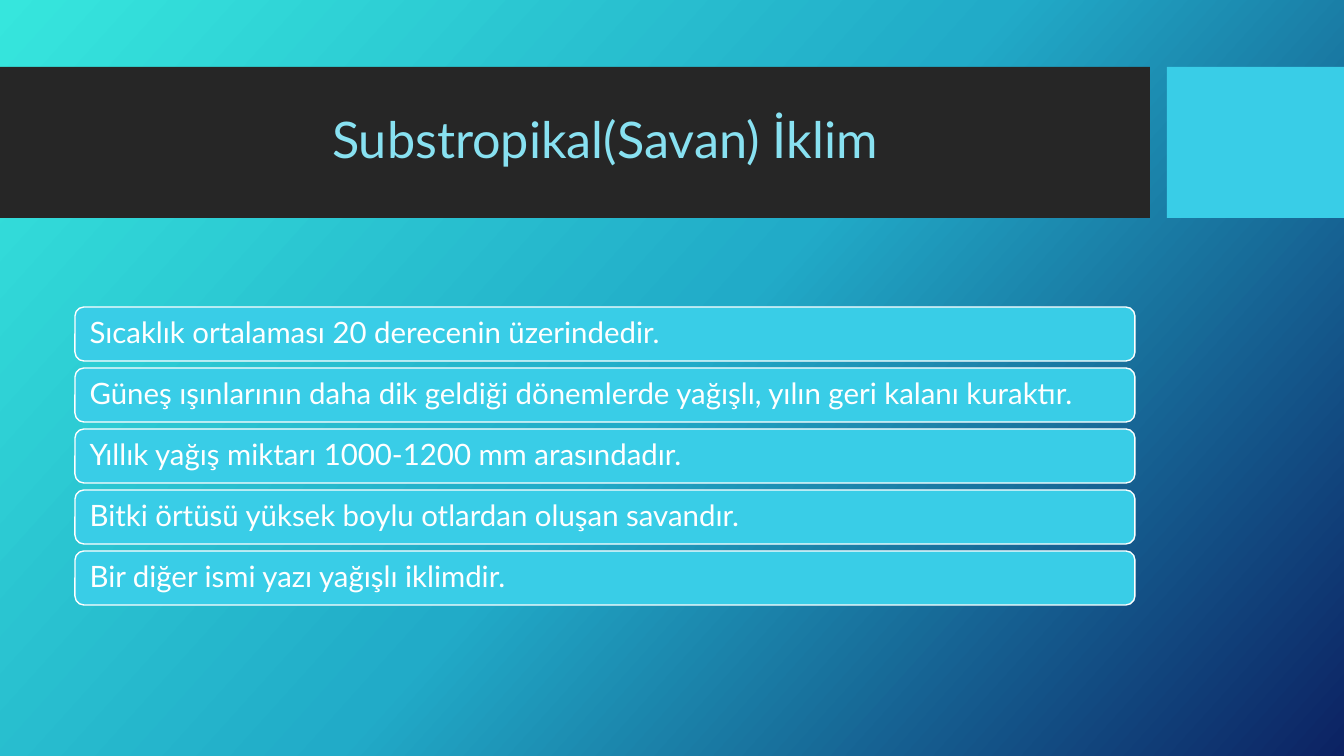
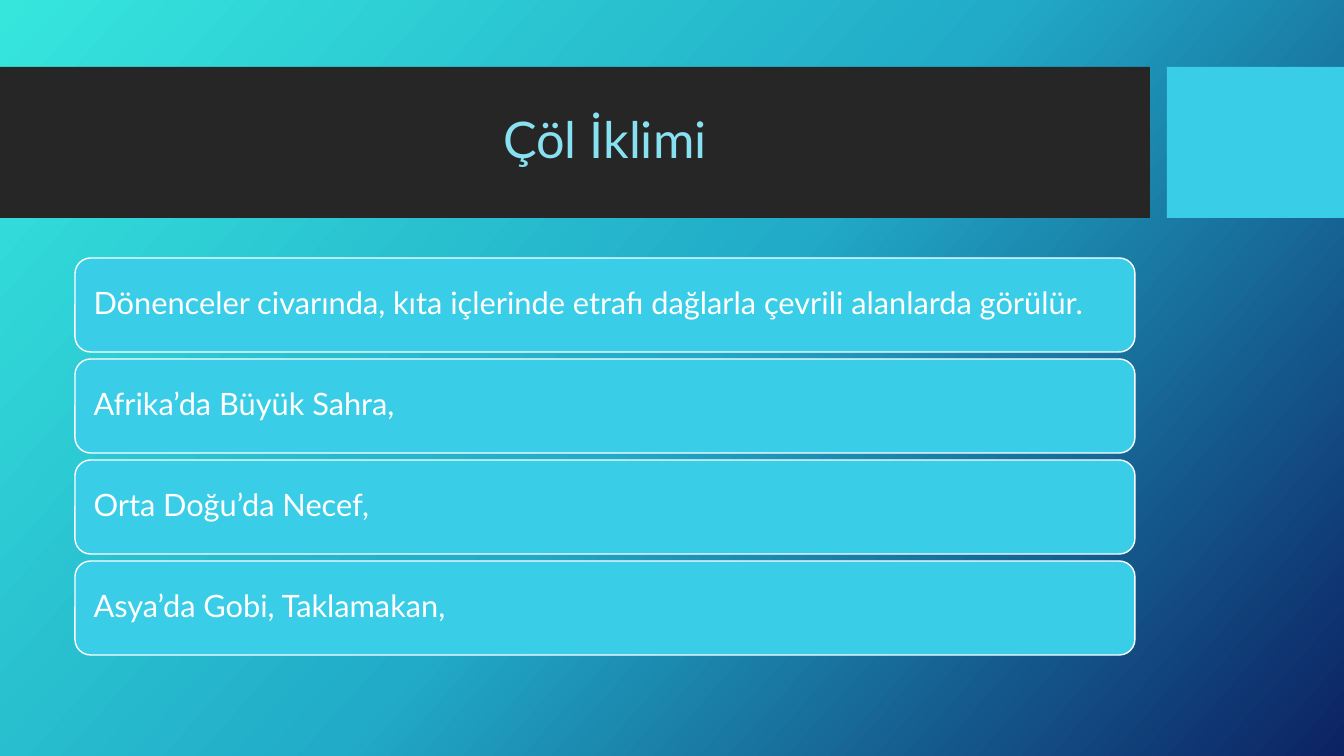
"""Build two climate slides with a shared title band and stacked text cards."""
from dataclasses import dataclass

from lxml import etree
from pptx import Presentation
from pptx import util as u
from pptx.dml.color import RGBColor
from pptx.enum import shapes, text
from pptx.oxml import ns

EMU_PER_PX = 914400 / 100.8
FONT = "Lato"
DARK, ACCENT, TITLE, WHITE = "262626", "39CDE7", "88E1F1", "FFFFFF"
GRADIENT = ((0, "36E6DD"), (50, "21ABC8"), (100, "0C2263"))
BAND_TOP, BAND_HEIGHT = 67, 151
CONTENT_LEFT, CONTENT_WIDTH = 75, 1060


@dataclass(frozen=True)
class Climate:
    title: str
    facts: tuple[str, ...]
    top: int
    height: int
    pitch: int
    inset: int
    size: int


CLIMATES = (
    Climate(
        "Substropikal(Savan) İklim",
        (
            "Sıcaklık ortalaması 20 derecenin üzerindedir.",
            "Güneş ışınlarının daha dik geldiği dönemlerde yağışlı, yılın geri kalanı kuraktır.",
            "Yıllık yağış miktarı 1000-1200 mm arasındadır.",
            "Bitki örtüsü yüksek boylu otlardan oluşan savandır.",
            "Bir diğer ismi yazı yağışlı iklimdir.",
        ),
        top=307, height=54, pitch=61, inset=12, size=21,
    ),
    Climate(
        "Çöl İklimi",
        (
            "Dönenceler civarında, kıta içlerinde etrafı dağlarla çevrili alanlarda görülür.",
            "Afrika’da Büyük Sahra,",
            "Orta Doğu’da Necef,",
            "Asya’da Gobi, Taklamakan,",
        ),
        top=258, height=94, pitch=101, inset=14, size=22,
    ),
)


def px(length: int) -> u.Emu:
    return u.Emu(round(length * EMU_PER_PX))


def color(value: str) -> RGBColor:
    return RGBColor.from_string(value)


def paint_background(master) -> None:
    fill = master.background.fill
    fill.gradient()
    fill.gradient_angle = 360 - 42
    stops = master.element.find(".//" + ns.qn("p:bg")).find(".//" + ns.qn("a:gsLst"))
    for stop in list(stops):
        stops.remove(stop)
    for percent, value in GRADIENT:
        stop = etree.SubElement(stops, ns.qn("a:gs"), pos=str(percent * 1000))
        etree.SubElement(stop, ns.qn("a:srgbClr"), val=value)


def add_block(page, left: int, top: int, width: int, height: int, fill: str,
              rounded: bool = False):
    kind = shapes.MSO_SHAPE.ROUNDED_RECTANGLE if rounded else shapes.MSO_SHAPE.RECTANGLE
    block = page.shapes.add_shape(kind, px(left), px(top), px(width), px(height))
    block.shadow.inherit = False
    block.fill.solid()
    block.fill.fore_color.rgb = color(fill)
    if rounded:
        block.line.color.rgb = color(WHITE)
        block.line.width = u.Pt(1)
    else:
        block.line.fill.background()
    return block


def write(box, content: str, *, size: int, ink: str, inset: int,
          align=text.PP_ALIGN.LEFT) -> None:
    frame = box.text_frame
    frame.word_wrap = True
    frame.vertical_anchor = text.MSO_ANCHOR.MIDDLE
    frame.margin_left = frame.margin_right = px(inset)
    frame.margin_top = frame.margin_bottom = px(5)
    para = frame.paragraphs[0]
    para.alignment = align
    para.line_spacing = 0.9
    span = para.add_run()
    span.text = content
    span.font.name = FONT
    span.font.size = u.Pt(size)
    span.font.color.rgb = color(ink)


def add_header(page, title: str) -> None:
    add_block(page, 0, BAND_TOP, 1150, BAND_HEIGHT, DARK)
    add_block(page, 1167, BAND_TOP, 177, BAND_HEIGHT, ACCENT)
    box = page.shapes.add_textbox(px(CONTENT_LEFT), px(83), px(CONTENT_WIDTH), px(119))
    write(box, title, size=36, ink=TITLE, inset=10, align=text.PP_ALIGN.CENTER)


def add_climate(deck, climate: Climate) -> None:
    page = deck.slides.add_slide(deck.slide_layouts[6])
    add_header(page, climate.title)
    for index, fact in enumerate(climate.facts):
        card = add_block(page, CONTENT_LEFT, climate.top + index * climate.pitch,
                         CONTENT_WIDTH, climate.height, ACCENT, rounded=True)
        write(card, fact, size=climate.size, ink=WHITE, inset=climate.inset)


def main() -> None:
    deck = Presentation()
    deck.slide_width, deck.slide_height = px(1344), px(756)
    paint_background(deck.slide_master)
    for climate in CLIMATES:
        add_climate(deck, climate)
    deck.save("out.pptx")


if __name__ == "__main__":
    main()
